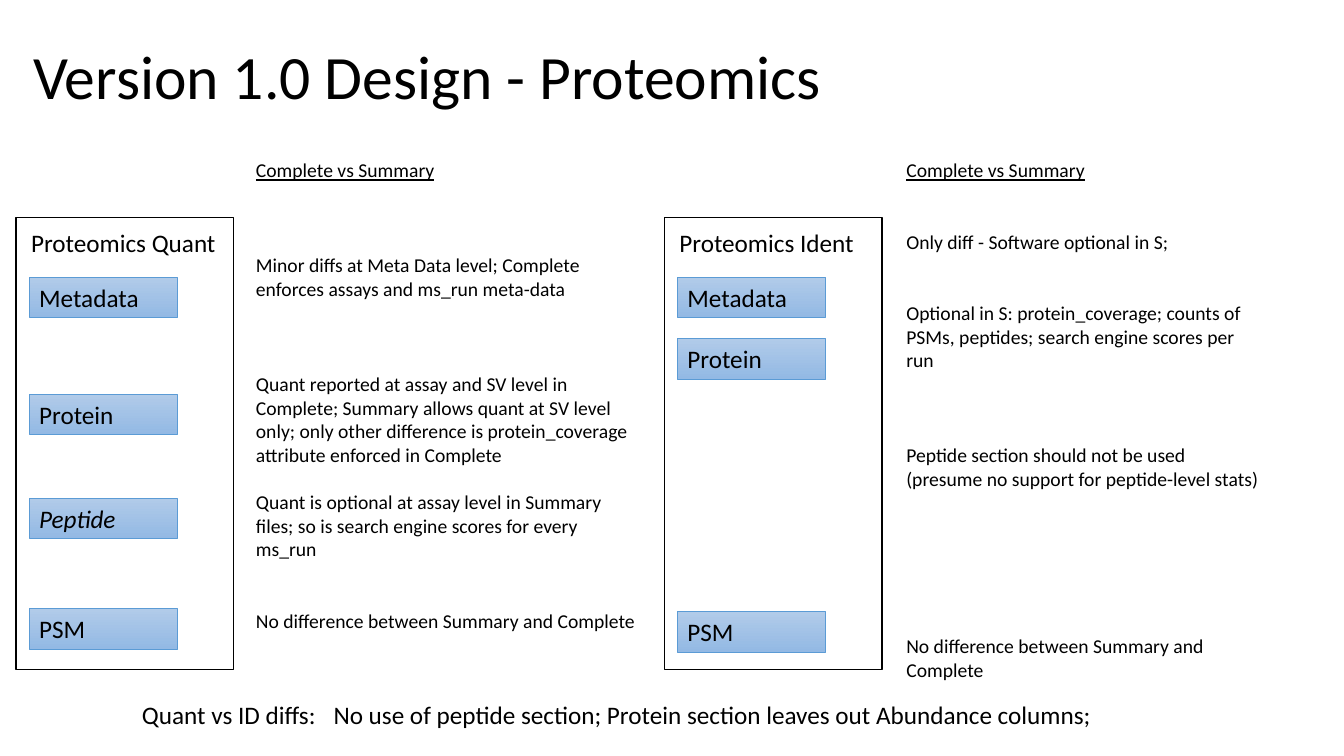
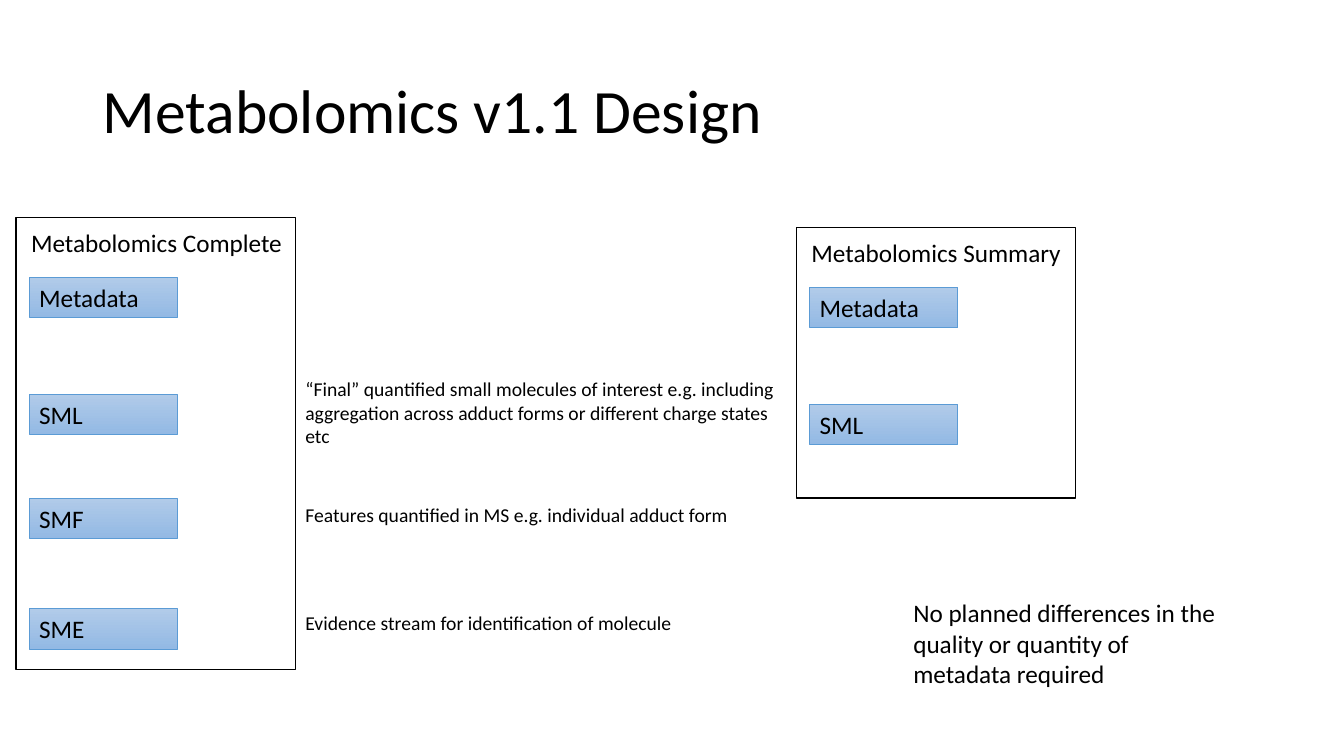
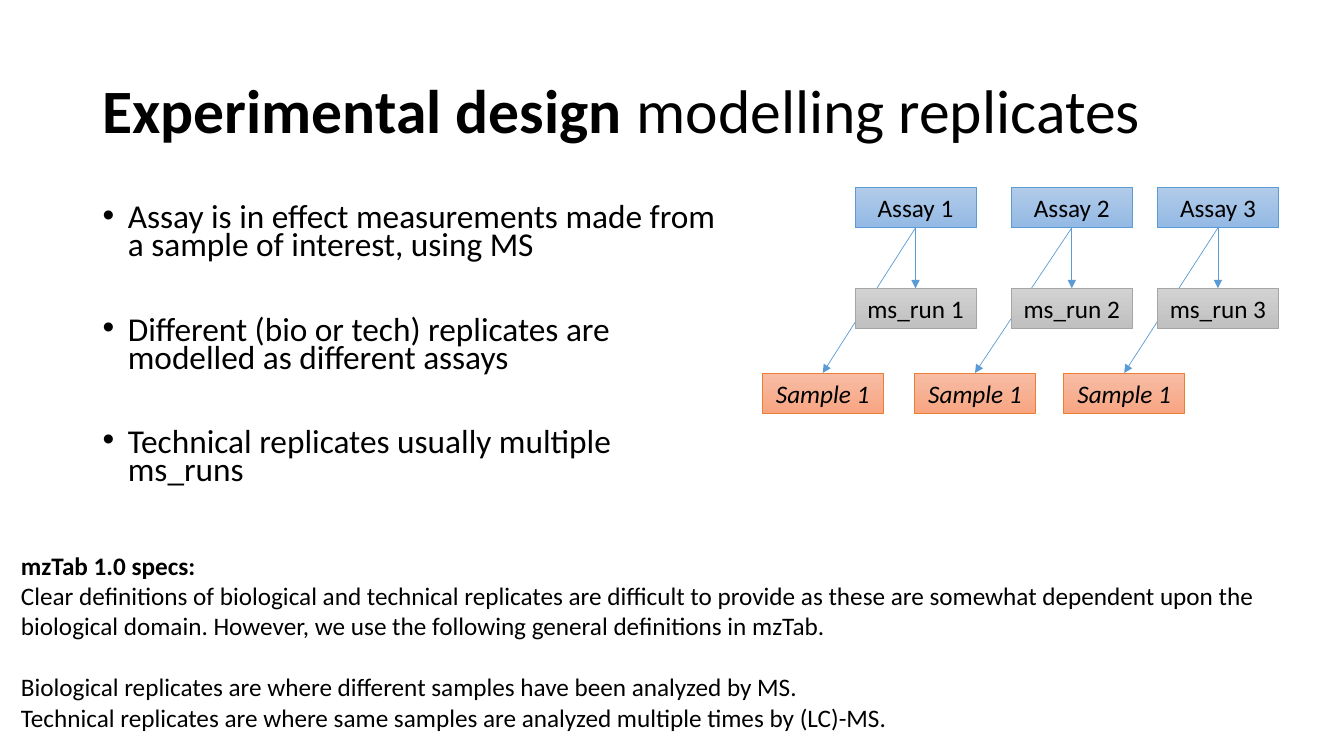
from lxml.etree import SubElement
from pptx import Presentation
from pptx.dml.color import RGBColor
from pptx.enum.shapes import MSO_CONNECTOR, MSO_SHAPE
from pptx.enum.text import MSO_ANCHOR, PP_ALIGN
from pptx.oxml.ns import qn
from pptx.util import Inches, Pt

# Shared look
FONT, BLACK = "Calibri", "000000"
BLUE = ("B1CBE9", "93B9E4", "5B9BD5")  # gradient start, gradient end, line
GREY = ("D2D2D2", "C0C0C0", "A5A5A5")
ORANGE = ("F7BDA5", "F8A582", "ED7D31")
TITLE_SIZE, LABEL_SIZE, NOTE_SIZE, BULLET_SIZE = 44, 18, 14, 23.8
TITLE_WIDTH, TITLE_HEIGHT = 11.5, 1.45
LINE_HEIGHT = 1.22  # share of the font size
TAG_WIDTH, TAG_HEIGHT, TAG_INSET = 1.47, 0.4, 0.13
NODE_WIDTH = 1.2
ROWS = (0.59, 1.75, 2.78, 3.88)  # tag tops, measured from the frame top

# Slide content: titles are (left, top, spans)
PROTEOMICS_TITLE = (0.23, 0.06, [("Version 1.0 Design - Proteomics", {})])
METABOLOMICS_TITLE = (0.92, 0.4, [("Metabolomics v1.1 Design", {})])
REPLICATES_TITLE = (0.92, 0.4, [("Experimental design ", {"bold": True}),
                                ("modelling replicates", {})])

# Frames: heading, (left, top, width, height), tags with their row
PROTEOMICS_FRAMES = [
    ("Proteomics Quant", (0.16, 2.16, 2.16, 4.48),
     [("Metadata", ROWS[0]), ("Protein", ROWS[1]), ("Peptide", ROWS[2]), ("PSM", ROWS[3])]),
    ("Proteomics Ident", (6.59, 2.16, 2.16, 4.48),
     [("Metadata", ROWS[0]), ("Protein", 1.2), ("PSM", 3.91)]),
]
METABOLOMICS_FRAMES = [
    ("Metabolomics Complete", (0.16, 2.16, 2.77, 4.48),
     list(zip(("Metadata", "SML", "SMF", "SME"), ROWS))),
    ("Metabolomics Summary", (7.9, 2.26, 2.77, 2.68),
     list(zip(("Metadata", "SML"), ROWS))),
]
ITALIC_TAGS = {"Peptide"}

# Difference columns: box, then (lines of space above, text)
DIFF_HEADING = "Complete vs Summary"
DIFF_COLUMNS = [
    ((2.44, 1.52, 3.96, 5.76), [
        (3, "Minor diffs at Meta Data level; Complete enforces assays and ms_run meta-data"),
        (3, "Quant reported at assay and SV level in Complete; Summary allows quant at SV level "
            "only; only other difference is protein_coverage attribute enforced in Complete"),
        (1, "Quant is optional at assay level in Summary files; so is search engine scores for "
            "every ms_run"),
        (2, "No difference between Summary and Complete")]),
    ((8.89, 1.52, 3.72, 5.52), [
        (2, "Only diff - Software optional in S;"),
        (2, "Optional in S: protein_coverage; counts of PSMs, peptides; search engine scores "
            "per run"),
        (3, "Peptide section should not be used (presume no support for peptide-level stats)"),
        (6, "No difference between Summary and Complete")]),
]
DIFF_SUMMARY = ("Quant vs ID diffs:\tNo use of peptide section; "
                "Protein section leaves out Abundance columns;")

# Metabolomics notes: top, height, text
TABLE_NOTES = [
    (3.69, 0.81, "“Final” quantified small molecules of interest e.g. including aggregation "
                 "across adduct forms or different charge states etc"),
    (4.94, 0.34, "Features quantified in MS e.g. individual adduct form"),
    (6.01, 0.34, "Evidence stream for identification of molecule"),
]
METADATA_NOTE = "No planned differences in the quality or quantity of metadata required"

REPLICATE_BULLETS = [
    "Assay is in effect measurements made from a sample of interest, using MS",
    "Different (bio or tech) replicates are modelled as different assays",
    "Technical replicates usually multiple ms_runs",
]
ASSAY_TOP, RUN_TOP, SAMPLE_TOP = 1.86, 2.86, 3.7
REPLICATES = [(8.48, 7.56), (10.03, 9.07), (11.48, 10.55)]  # assay left, sample left
# Definitions: lines of space above, text, font format
DEFINITIONS = [
    (0, "mzTab 1.0 specs:", {"bold": True}),
    (0, "Clear definitions of biological and technical replicates are difficult to provide as "
        "these are somewhat dependent upon the biological domain. However, we use the "
        "following general definitions in mzTab.", {}),
    (1, "Biological replicates are where different samples have been analyzed by MS.", {}),
    (0, "Technical replicates are where same samples are analyzed multiple times by (LC)-MS.", {}),
]


def color(value):
    return RGBColor.from_string(value)


def set_all(target, values):
    for name, value in values.items():
        setattr(target, name, value)


def write(para, spans, size, layout=None):
    """Fill one paragraph with (text, font format) spans."""
    set_all(para, layout or {})
    for text, style in spans:
        span = para.add_run()
        span.text = text
        set_all(span.font, {"name": FONT, "size": Pt(size), **style})
        span.font.color.rgb = color(BLACK)


def add_text(page, place, paras, size, anchor=MSO_ANCHOR.TOP):
    """Add a text box; paras are (spans, paragraph format)."""
    box = page.shapes.add_textbox(*map(Inches, place))
    set_all(box.text_frame, {"word_wrap": True, "vertical_anchor": anchor})
    for index, (spans, layout) in enumerate(paras):
        para = box.text_frame.add_paragraph() if index else box.text_frame.paragraphs[0]
        write(para, spans, size, layout)
    return box


def add_label(page, place, text, size=LABEL_SIZE):
    return add_text(page, place, [([(text, {})], {})], size)


def blank_lines(count, size):
    return {"space_before": Pt(round(count * size * LINE_HEIGHT, 1))}


def add_rect(page, place, line, width):
    rect = page.shapes.add_shape(MSO_SHAPE.RECTANGLE, *map(Inches, place))
    rect.shadow.inherit = False
    rect.line.color.rgb = color(line)
    rect.line.width = Pt(width)
    return rect


def add_tag(page, place, text, palette=BLUE, align=PP_ALIGN.LEFT, italic=False):
    start, end, line = palette
    tag = add_rect(page, place, line, 0.5)
    tag.fill.gradient()
    tag.fill.gradient_angle = 270
    for stop, value in zip(tag.fill.gradient_stops, (start, end)):
        stop.color.rgb = color(value)
    set_all(tag.text_frame, {"word_wrap": True, "vertical_anchor": MSO_ANCHOR.TOP})
    write(tag.text_frame.paragraphs[0], [(text, {"italic": italic})], LABEL_SIZE,
          {"alignment": align})


def add_arrow(page, start, end):
    arrow = page.shapes.add_connector(MSO_CONNECTOR.STRAIGHT, *map(Inches, start + end))
    arrow.line.color.rgb = color(BLUE[2])
    arrow.line.width = Pt(0.5)
    properties = arrow.element.spPr
    SubElement(properties.find(qn("a:ln")), qn("a:tailEnd"), type="triangle")
    SubElement(properties, qn("a:effectLst"))


def add_frame(page, heading, place, tags):
    left, top, width, _ = place
    for text, row in tags:
        add_tag(page, (left + TAG_INSET, top + row, TAG_WIDTH, TAG_HEIGHT), text,
                italic=text in ITALIC_TAGS)
    add_rect(page, place, BLACK, 1).fill.background()
    add_label(page, (left + 0.05, top + 0.05, width, TAG_HEIGHT), heading)


def add_page(deck, title):
    page = deck.slides.add_slide(deck.slide_layouts[6])
    left, top, spans = title
    add_text(page, (left, top, TITLE_WIDTH, TITLE_HEIGHT), [(spans, {"line_spacing": 0.9})],
             TITLE_SIZE, MSO_ANCHOR.MIDDLE)
    return page


def build_proteomics(deck):
    page = add_page(deck, PROTEOMICS_TITLE)
    for frame in PROTEOMICS_FRAMES:
        add_frame(page, *frame)
    for place, notes in DIFF_COLUMNS:
        paras = [([(DIFF_HEADING, {"underline": True})], {})]
        paras += [([(text, {})], blank_lines(count, NOTE_SIZE)) for count, text in notes]
        add_text(page, place, paras, NOTE_SIZE)
    summary = add_label(page, (1.31, 6.89, 10, 0.4), DIFF_SUMMARY)
    # Tab stop between the lead-in and the sentence
    properties = summary.text_frame.paragraphs[0]._p.get_or_add_pPr()
    stops = SubElement(properties, qn("a:tabLst"))
    SubElement(stops, qn("a:tab"), pos=str(Inches(1.9)), algn="l")


def build_metabolomics(deck):
    page = add_page(deck, METABOLOMICS_TITLE)
    for frame in METABOLOMICS_FRAMES:
        add_frame(page, *frame)
    for top, height, text in TABLE_NOTES:
        add_label(page, (2.93, top, 4.85, height), text, NOTE_SIZE)
    add_label(page, (8.96, 5.88, 3.22, 1.01), METADATA_NOTE)


def build_replicates(deck):
    page = add_page(deck, REPLICATES_TITLE)
    paras = [([(text, {})], {"line_spacing": 0.7, "space_before": Pt(40.3 if index else 10)})
             for index, text in enumerate(REPLICATE_BULLETS)]
    body = add_text(page, (0.92, 2, 6.29, 3.16), paras, BULLET_SIZE)
    for para in body.text_frame.paragraphs:
        properties = para._p.get_or_add_pPr()
        properties.set("marL", str(Inches(0.25)))
        properties.set("indent", str(Inches(-0.25)))
        SubElement(properties, qn("a:buFont"), typeface="Arial")
        SubElement(properties, qn("a:buChar"), char="•")

    # Sample arrows run behind the boxes
    half, assay_bottom = NODE_WIDTH / 2, ASSAY_TOP + TAG_HEIGHT
    for assay_left, sample_left in REPLICATES:
        add_arrow(page, (assay_left + half, assay_bottom), (sample_left + half, SAMPLE_TOP))
    for number, (assay_left, sample_left) in enumerate(REPLICATES, 1):
        nodes = [(assay_left, ASSAY_TOP, f"Assay {number}", BLUE, False),
                 (assay_left, RUN_TOP, f"ms_run {number}", GREY, False),
                 (sample_left, SAMPLE_TOP, "Sample 1", ORANGE, True)]
        for left, top, text, palette, italic in nodes:
            add_tag(page, (left, top, NODE_WIDTH, TAG_HEIGHT), text, palette,
                    PP_ALIGN.CENTER, italic)
        add_arrow(page, (assay_left + half, assay_bottom), (assay_left + half, RUN_TOP))

    add_text(page, (0.11, 5.41, 13, 1.92),
             [([(text, style)], blank_lines(count, LABEL_SIZE))
              for count, text, style in DEFINITIONS], LABEL_SIZE)


def main():
    deck = Presentation()
    set_all(deck, {"slide_width": Inches(13.33), "slide_height": Inches(7.5)})
    for build in (build_proteomics, build_metabolomics, build_replicates):
        build(deck)
    deck.save("out.pptx")


if __name__ == "__main__":
    main()
